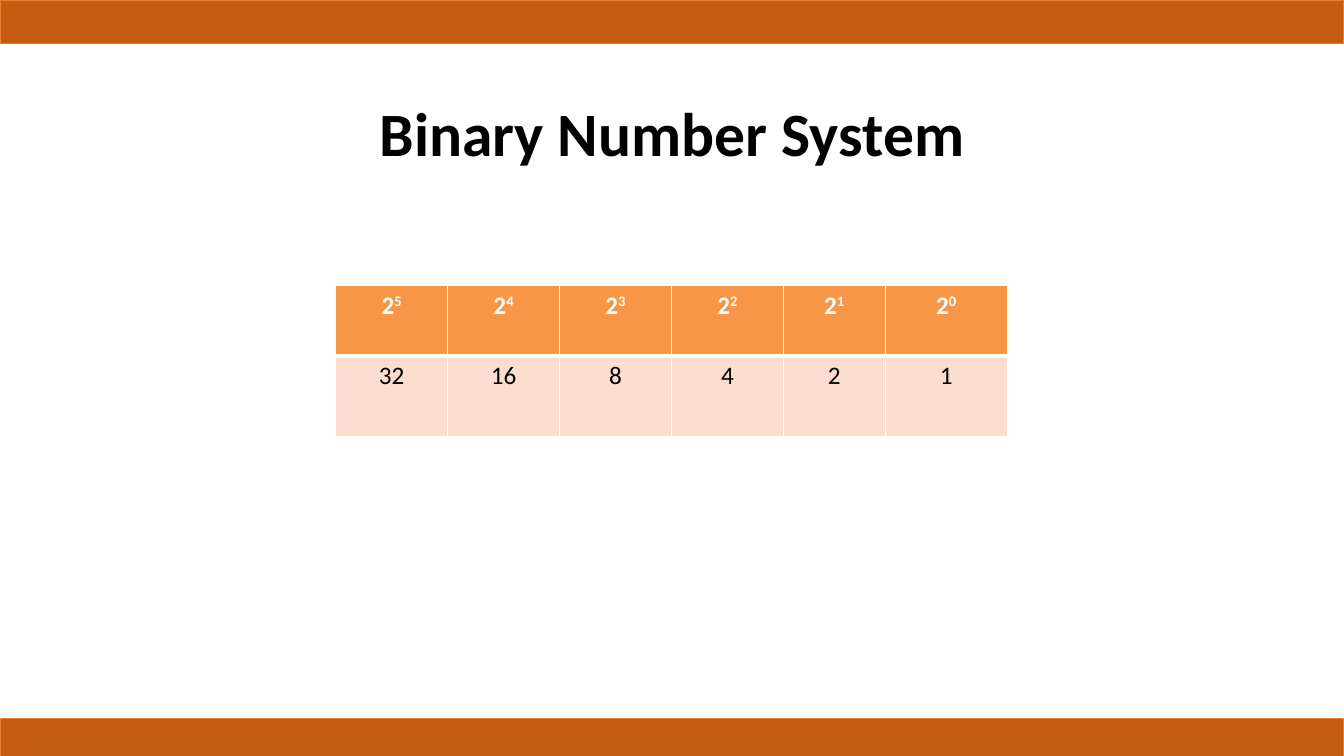
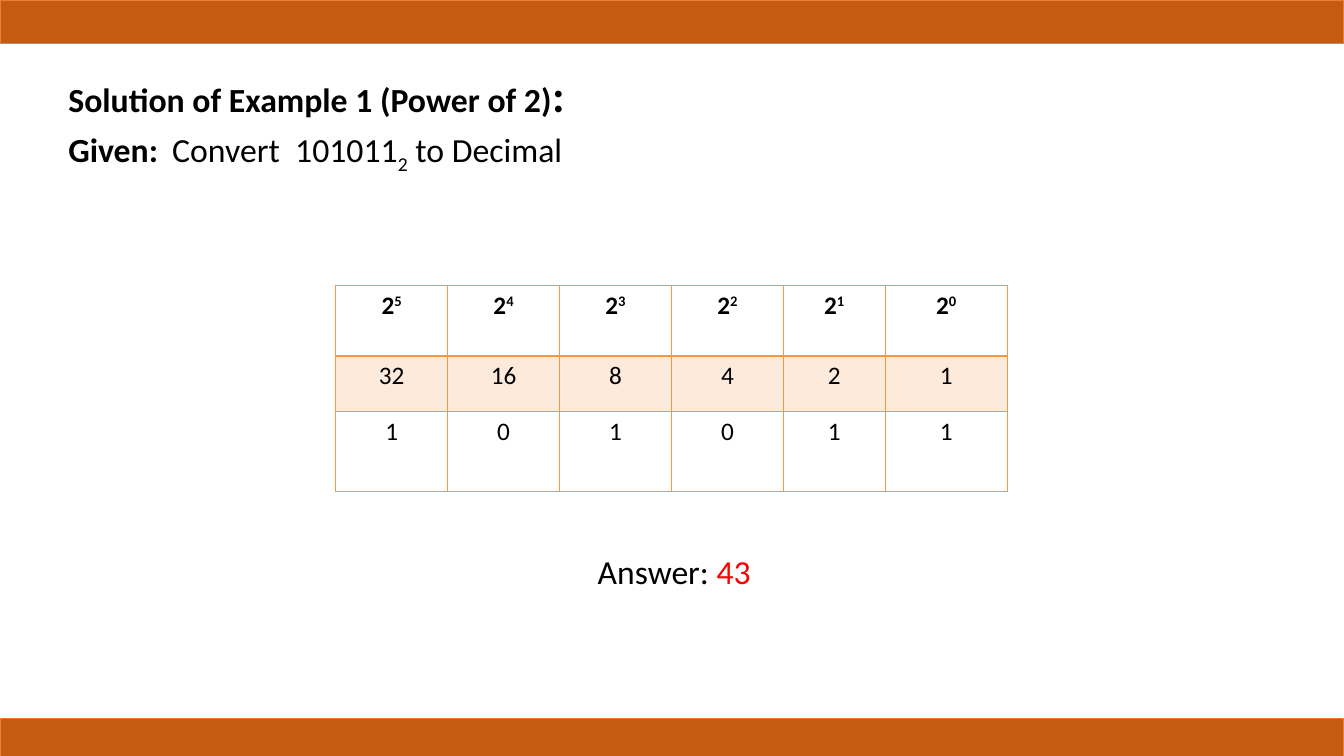
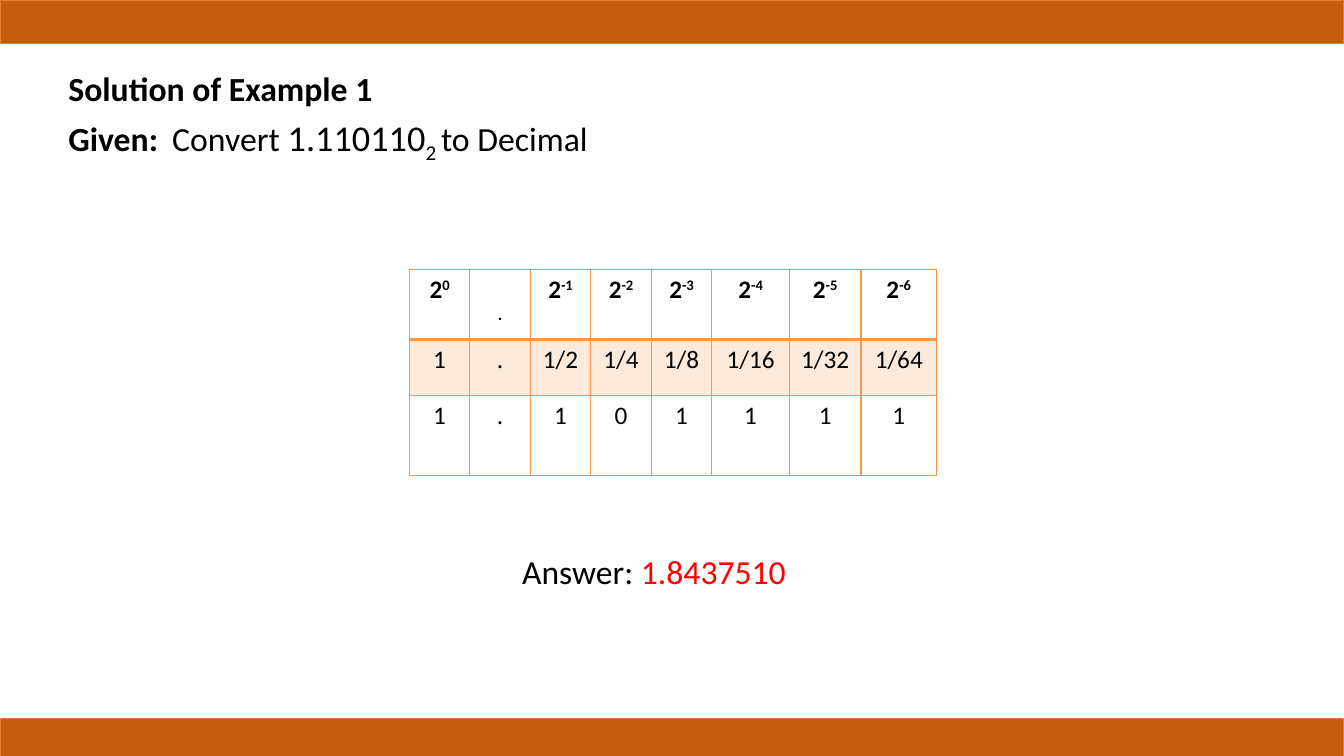
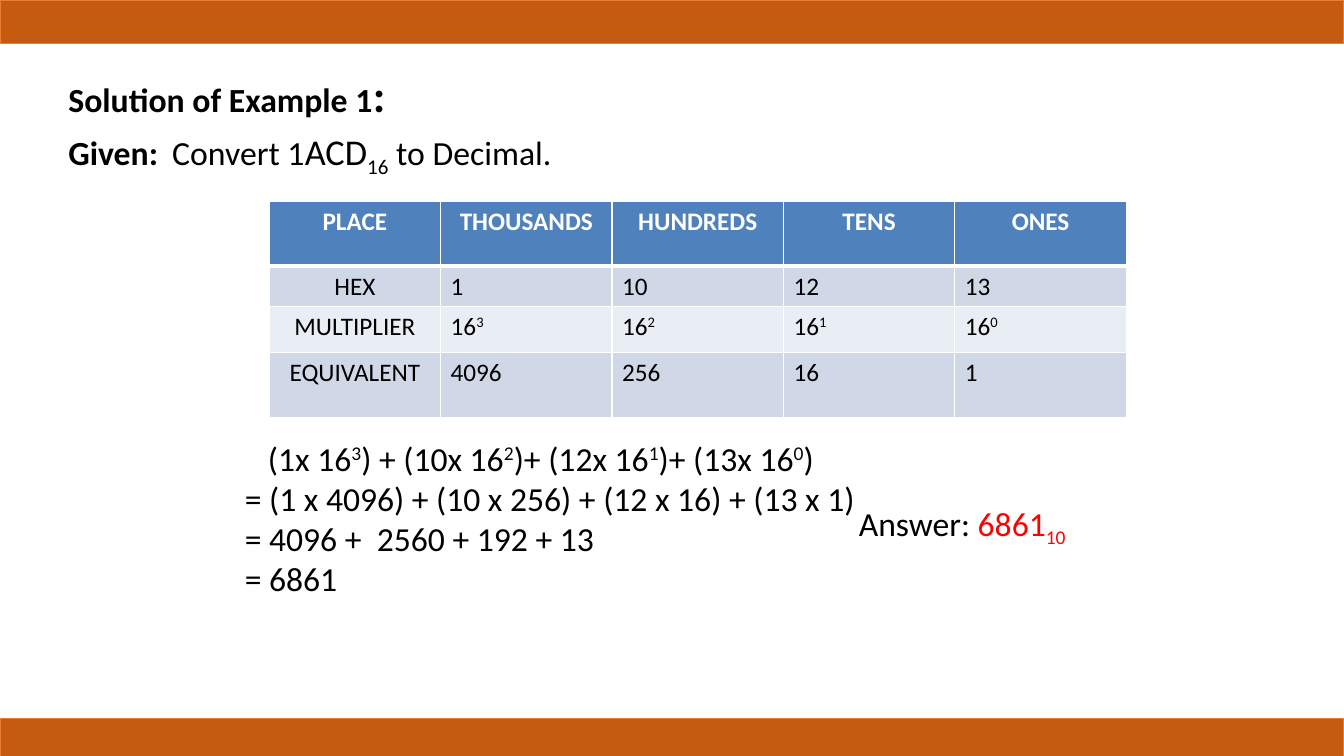
from dataclasses import dataclass

from lxml.etree import SubElement
from pptx import Presentation
from pptx.dml.color import RGBColor
from pptx.enum.shapes import MSO_SHAPE
from pptx.enum.text import MSO_ANCHOR, PP_ALIGN
from pptx.oxml.ns import qn
from pptx.util import Inches, Pt


@dataclass(frozen=True)
class Theme:
    font: str = "Calibri"
    title: float = 44
    heading: float = 24.1
    number: float = 25.9
    colon: float = 32.4
    body: float = 24
    cell: float = 18
    point: float = 12
    black: str = "000000"
    white: str = "FFFFFF"
    red: str = "FF0000"
    band: str = "C55A11"
    band_line: str = "ED7D31"
    orange: str = "F79646"
    peach: str = "FCDDCF"
    pale_orange: str = "FDEADA"
    blue: str = "4F81BD"
    blue_grey: str = "D0D8E8"
    pale_blue: str = "E9EDF4"


@dataclass(frozen=True)
class TableStyle:
    """Fills run from the first row down; None leaves a row clear."""
    fills: tuple
    border: str
    header_color: str
    header_line: float


THEME = Theme()
SUPERSCRIPT = {"baseline": 30}
SUBSCRIPT = {"baseline": -25}
SOLID_ORANGE = TableStyle((THEME.orange, THEME.peach), THEME.white, THEME.white, 3)
ORANGE_GRID = TableStyle((None, THEME.pale_orange, None), THEME.orange, THEME.black, 2)
SOLID_BLUE = TableStyle((THEME.blue, THEME.blue_grey, THEME.pale_blue, THEME.blue_grey),
                        THEME.white, THEME.white, 3)

SLIDE_WIDTH, SLIDE_HEIGHT = 13.33, 7.5
BAND_HEIGHT, BOTTOM_BAND_TOP = 0.43, 7.13
HEADING_BOX = (0.58, 0.62, 7.67, 0.98)
POWER_COLUMNS = (1.11, 1.11, 1.11, 1.11, 1.01, 1.21)
FRACTION_COLUMNS = (0.6,) * 5 + (0.77, 0.71, 0.75)
GRID_ROWS = (0.7, 0.55, 0.8)


def rgb(value):
    return RGBColor.from_string(value)


def write_run(paragraph, text, size=THEME.body, color=THEME.black, bold=False, baseline=0):
    run = paragraph.add_run()
    run.text = text
    run.font.name = THEME.font
    run.font.size = Pt(size)
    run.font.bold = bold
    run.font.color.rgb = rgb(color)
    if baseline:
        run.font._element.set("baseline", str(baseline * 1000))


def write_line(paragraph, content, align=PP_ALIGN.LEFT, **style):
    """Write a string, or a list of strings and (string, overrides) pairs."""
    paragraph.alignment = align
    for part in [content] if isinstance(content, str) else content:
        text, overrides = (part, {}) if isinstance(part, str) else part
        write_run(paragraph, text, **{**style, **overrides})


def set_tabs(paragraph, positions):
    tab_list = SubElement(paragraph._p.get_or_add_pPr(), qn("a:tabLst"))
    for position in positions:
        SubElement(tab_list, qn("a:tab"), pos=str(Inches(position)), algn="l")


def set_indent(paragraph, indent):
    paragraph._p.get_or_add_pPr().set("marL", str(Inches(indent)))


def add_text(slide, box, lines, anchor=MSO_ANCHOR.TOP, gap=0, **style):
    """Add a text box with one paragraph per line and return its paragraphs."""
    frame = slide.shapes.add_textbox(*map(Inches, box)).text_frame
    frame.word_wrap = True
    frame.vertical_anchor = anchor
    for index, line in enumerate(lines):
        paragraph = frame.add_paragraph() if index else frame.paragraphs[0]
        if index and gap:
            paragraph.space_before = Pt(gap)
        write_line(paragraph, line, **style)
    return frame.paragraphs


def set_borders(cell, color, width, bottom_width):
    properties = cell._tc.get_or_add_tcPr()
    for index, side in enumerate(("lnL", "lnR", "lnT", "lnB")):
        points = bottom_width if side == "lnB" else width
        line = properties.makeelement(qn(f"a:{side}"), {"w": str(Pt(points))})
        fill = SubElement(line, qn("a:solidFill"))
        SubElement(fill, qn("a:srgbClr"), val=color)
        properties.insert(index, line)


def add_grid(slide, left, top, columns, heights, rows, style, align=PP_ALIGN.CENTER):
    """Add a table; align holds for body cells right of the first column."""
    frame = slide.shapes.add_table(len(rows), len(columns), Inches(left), Inches(top),
                                   Inches(sum(columns)), Inches(sum(heights)))
    table = frame.table
    table.first_row = table.horz_banding = False
    for column, width in zip(table.columns, columns):
        column.width = Inches(width)
    for row_index, (row, height, fill) in enumerate(zip(rows, heights, style.fills)):
        table.rows[row_index].height = Inches(height)
        header = row_index == 0
        for column_index, content in enumerate(row):
            cell = table.cell(row_index, column_index)
            if fill:
                cell.fill.solid()
                cell.fill.fore_color.rgb = rgb(fill)
            else:
                cell.fill.background()
            # The rule under the header belongs to the cells on both sides of it.
            set_borders(cell, style.border, 1, style.header_line if header else 1)
            centred = header or column_index == 0
            write_line(cell.text_frame.paragraphs[0], content,
                       align=PP_ALIGN.CENTER if centred else align,
                       size=THEME.cell, bold=header,
                       color=style.header_color if header else THEME.black)
    return table


def power(base, exponent):
    return [str(base), (str(exponent), SUPERSCRIPT)]


def add_heading(slide, box, title, given, tabs):
    """Add the bold title line and the line that states the task."""
    lines = [[(part, {"bold": True}) if isinstance(part, str)
              else (part[0], {"bold": True, **part[1]}) for part in title],
             [("Given:\t", {"bold": True}), *given]]
    paragraphs = add_text(slide, box, lines, gap=5, size=THEME.heading)
    set_tabs(paragraphs[1], tabs)


def add_answer(slide, box, *answer):
    parts = [(text, {"color": THEME.red, **overrides}) for text, overrides in answer]
    add_text(slide, box, [["Answer: ", *parts]])


def add_bands(slide):
    for top in (0, BOTTOM_BAND_TOP):
        band = slide.shapes.add_shape(MSO_SHAPE.RECTANGLE, 0, Inches(top),
                                      Inches(SLIDE_WIDTH), Inches(BAND_HEIGHT))
        band.shadow.inherit = False
        band.fill.solid()
        band.fill.fore_color.rgb = rgb(THEME.band)
        band.line.color.rgb = rgb(THEME.band_line)
        band.line.width = Pt(1)


def build_number_system(slide):
    add_text(slide, (2.42, 0.5, 8.5, 1.61), ["Binary Number System"],
             anchor=MSO_ANCHOR.MIDDLE, align=PP_ALIGN.CENTER, size=THEME.title, bold=True)
    exponents = range(5, -1, -1)
    rows = [[power(2, n) for n in exponents], [str(2 ** n) for n in exponents]]
    add_grid(slide, 3.33, 2.83, POWER_COLUMNS, (0.7, 0.8), rows, SOLID_ORANGE)


def build_whole_number(slide):
    add_heading(slide, HEADING_BOX,
                ["Solution of Example 1 (Power of 2)", (":", {"size": THEME.colon})],
                ["Convert\t101011", ("2", SUBSCRIPT), " to Decimal"], (1.03, 2.25))
    add_answer(slide, (5.83, 5.42, 1.92, 0.5), ("43", {}))
    exponents = range(5, -1, -1)
    rows = [[power(2, n) for n in exponents], [str(2 ** n) for n in exponents], "101011"]
    add_grid(slide, 3.33, 2.83, POWER_COLUMNS, GRID_ROWS, rows, ORANGE_GRID)


def build_fraction(slide):
    number = {"size": THEME.number}
    add_heading(slide, HEADING_BOX, ["Solution of Example 1"],
                ["Convert ", ("1.110110", number), ("2 ", {**number, **SUBSCRIPT}),
                 "to Decimal"], (1.03,))
    add_answer(slide, (5.08, 5.42, 2.92, 0.5), ("1.8437510", {}))
    places = range(1, 7)
    point = [(".", {"size": THEME.point})]
    rows = [[power(2, 0), point, *(power(2, -n) for n in places)],
            ["1", ".", *(f"1/{2 ** n}" for n in places)],
            "1.101111"]
    table = add_grid(slide, 4.06, 2.67, FRACTION_COLUMNS, GRID_ROWS, rows, ORANGE_GRID)
    point_cell = table.cell(0, 1)
    point_cell.vertical_anchor = MSO_ANCHOR.BOTTOM
    point_cell.margin_bottom = Inches(0.15)


def build_hexadecimal(slide):
    exponents = range(3, -1, -1)
    rows = [["PLACE", "THOUSANDS", "HUNDREDS", "TENS", "ONES"],
            ["HEX", "1", "10", "12", "13"],
            ["MULTIPLIER", *(power(16, n) for n in exponents)],
            ["EQUIVALENT", *(str(16 ** n) for n in exponents)]]
    add_grid(slide, 2.67, 2, (1.7,) * 5, (0.64, 0.39, 0.46, 0.64), rows, SOLID_BLUE,
             align=PP_ALIGN.LEFT)
    steps = add_text(slide, (2.33, 4.29, 6.33, 1.72), [
        ["(1x 16", ("3", SUPERSCRIPT), ") + (10x 16", ("2", SUPERSCRIPT),
         ")+ (12x 16", ("1", SUPERSCRIPT), ")+ (13x 16", ("0", SUPERSCRIPT), ")"],
        "= (1 x 4096) + (10 x 256) + (12 x 16) + (13 x 1)",
        "= 4096 +\t2560 + 192 + 13",
        "= 6861"])
    set_indent(steps[0], 0.23)
    set_tabs(steps[2], (1.31,))
    add_answer(slide, (8.42, 4.94, 2.42, 0.5), ("6861", {}), ("10", SUBSCRIPT))
    number = {"size": THEME.number}
    add_heading(slide, HEADING_BOX,
                ["Solution of Example 1", (":", {"size": THEME.colon})],
                ["Convert 1", ("ACD", number), ("16", {**number, **SUBSCRIPT}),
                 " to Decimal."], (1.03,))


def main():
    presentation = Presentation()
    presentation.slide_width = Inches(SLIDE_WIDTH)
    presentation.slide_height = Inches(SLIDE_HEIGHT)
    blank = presentation.slide_layouts[6]
    for build in (build_number_system, build_whole_number, build_fraction,
                  build_hexadecimal):
        slide = presentation.slides.add_slide(blank)
        build(slide)
        add_bands(slide)
    presentation.save("out.pptx")


if __name__ == "__main__":
    main()
